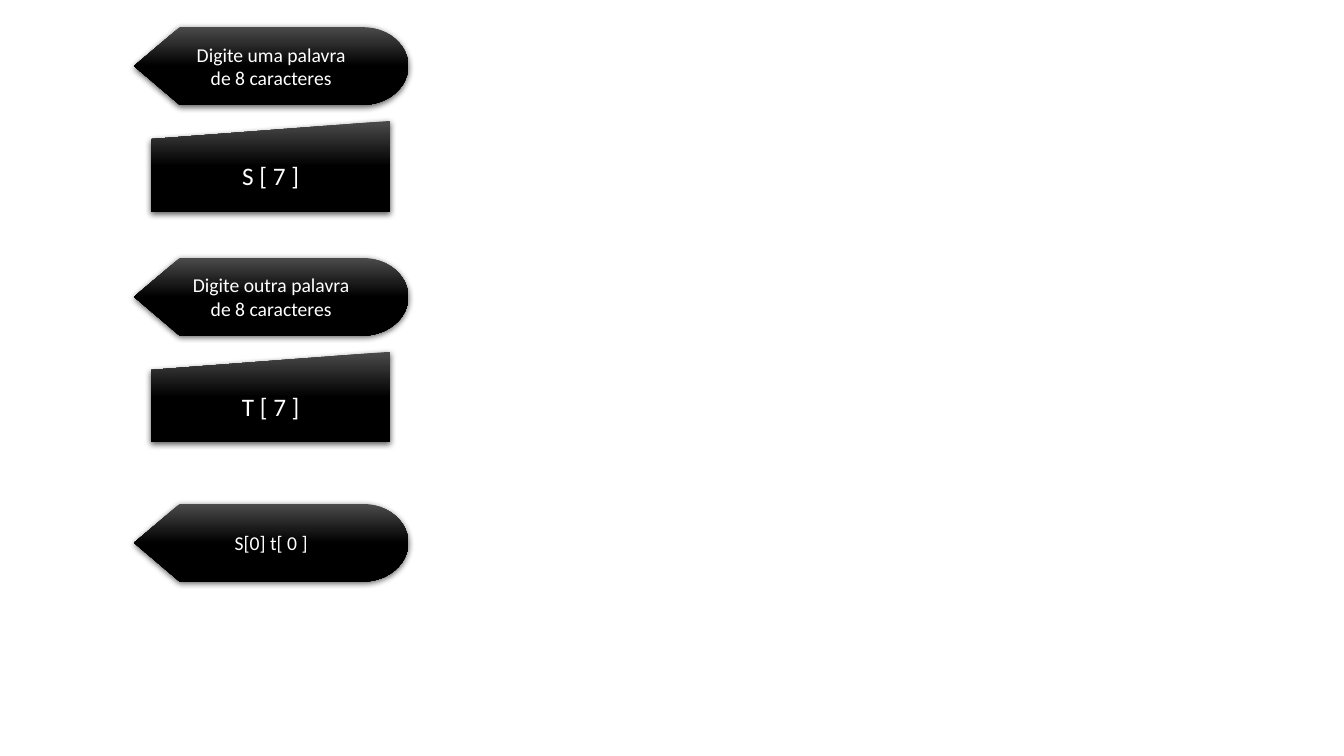
from copy import deepcopy
from dataclasses import dataclass

from lxml import etree
from pptx import Presentation
from pptx.dml.color import RGBColor
from pptx.enum.shapes import MSO_SHAPE
from pptx.enum.text import MSO_ANCHOR, PP_ALIGN
from pptx.oxml.ns import qn
from pptx.util import Emu, Pt

DISPLAY = MSO_SHAPE.FLOWCHART_DISPLAY
MANUAL_INPUT = MSO_SHAPE.FLOWCHART_MANUAL_INPUT
MIDDLE = MSO_ANCHOR.MIDDLE
CENTER = PP_ALIGN.CENTER

EMU_PER_PX = 9144  # 100 px to the inch
GRADIENT = [(0.0, "4B4B4B"), (0.5, "000000"), (1.0, "000000")]


@dataclass(frozen=True)
class BlockStyle:
    preset: MSO_SHAPE
    left: int
    width: int
    height: int
    font_size: int


@dataclass(frozen=True)
class Block:
    style: BlockStyle
    top: int
    text: str


MESSAGE = BlockStyle(DISPLAY, 133, 272, 77, 14)
INPUT = BlockStyle(MANUAL_INPUT, 150, 237, 90, 18)

BLOCKS = [
    Block(MESSAGE, 27, "Digite uma palavra de 8 caracteres"),
    Block(INPUT, 120, "S [ 7 ]"),
    Block(MESSAGE, 256, "Digite outra palavra de 8 caracteres"),
    Block(INPUT, 349, "T [ 7 ]"),
    Block(MESSAGE, 500, "S[0] t[ 0 ]"),
]


def px(length: int) -> Emu:
    return Emu(length * EMU_PER_PX)


def color(value: str) -> RGBColor:
    return RGBColor.from_string(value)


def fill_gradient(box) -> None:
    """Shade the box from grey at the top to black."""
    box.fill.gradient()
    box.fill.gradient_angle = 270
    stop_list = box._element.spPr.find(qn("a:gradFill")).find(qn("a:gsLst"))
    stop_list.append(deepcopy(stop_list[-1]))
    for stop, (position, value) in zip(box.fill.gradient_stops, GRADIENT):
        stop.position = position
        stop.color.rgb = color(value)


def add_shadow(box) -> None:
    """Drop a soft black shadow straight down."""
    box.shadow.inherit = False
    effects = box._element.spPr.find(qn("a:effectLst"))
    shadow = etree.SubElement(
        effects, qn("a:outerShdw"), blurRad=str(Pt(4.5)), dist=str(Pt(1.5)),
        dir="5400000", rotWithShape="0",
    )
    tint = etree.SubElement(shadow, qn("a:srgbClr"), val="000000")
    etree.SubElement(tint, qn("a:alpha"), val="63000")


def add_block(page, block: Block) -> None:
    style = block.style
    box = page.shapes.add_shape(
        style.preset, px(style.left), px(block.top), px(style.width), px(style.height)
    )
    fill_gradient(box)
    box.line.fill.background()
    add_shadow(box)

    # Centred label
    frame = box.text_frame
    frame.word_wrap = True
    frame.vertical_anchor = MIDDLE
    para = frame.paragraphs[0]
    para.text = block.text
    para.alignment = CENTER
    para.font.name = "Calibri"
    para.font.size = Pt(style.font_size)
    para.font.color.rgb = color("FFFFFF")


def main() -> None:
    deck = Presentation()
    deck.slide_width, deck.slide_height = px(1333), px(750)
    page = deck.slides.add_slide(deck.slide_layouts[6])

    # Flowchart column, top to bottom
    for block in BLOCKS:
        add_block(page, block)

    deck.save("out.pptx")


if __name__ == "__main__":
    main()
